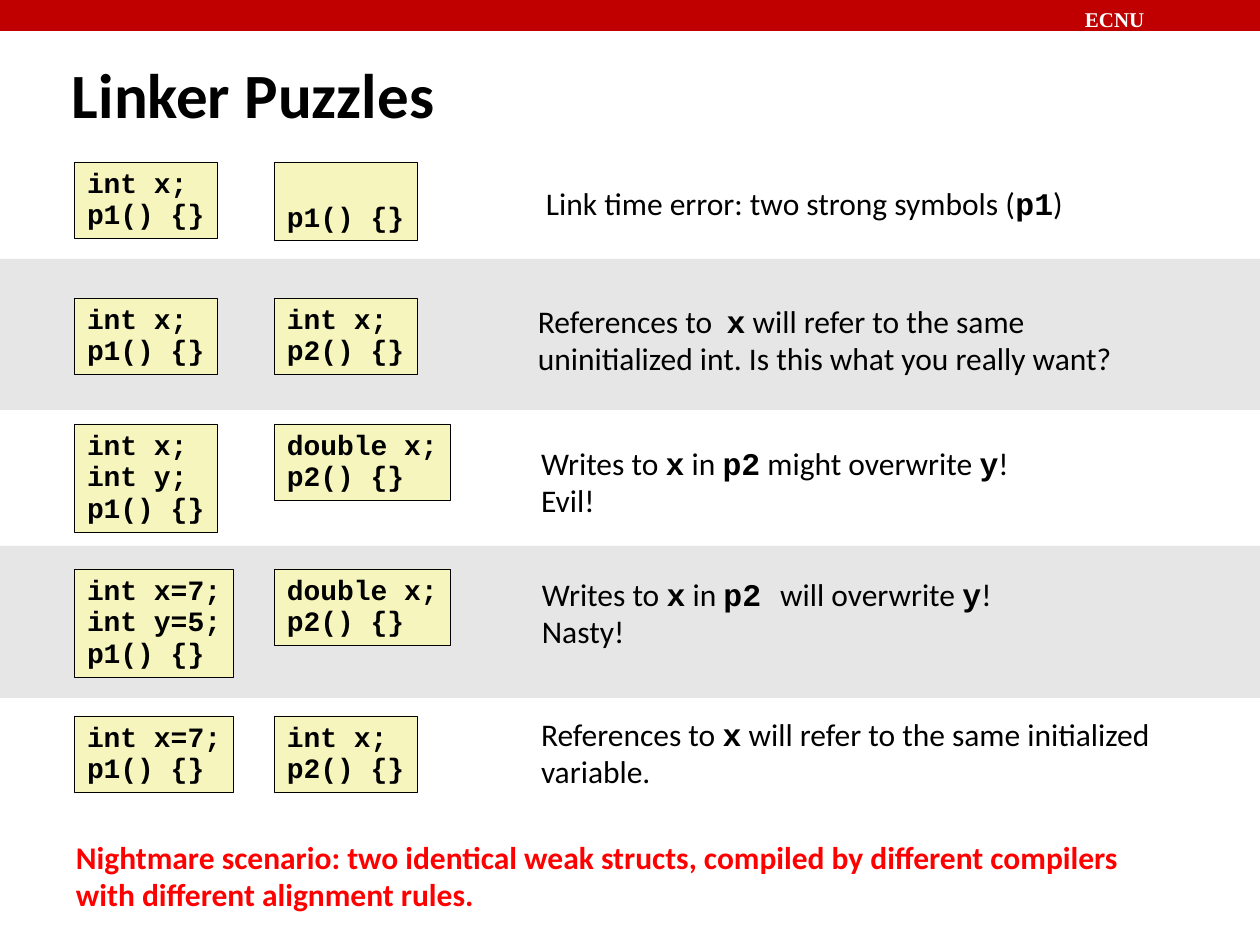
from dataclasses import dataclass

from pptx import Presentation
from pptx.dml.color import RGBColor
from pptx.enum.shapes import MSO_SHAPE
from pptx.enum.text import MSO_ANCHOR as Anchor
from pptx.util import Emu, Pt

EMU_PER_PX = 914400 / 126
SLIDE_WIDTH, SLIDE_HEIGHT = 1260, 945
BANNER_HEIGHT = 31
CODE_LEFTS = (74, 274)


@dataclass(frozen=True)
class Theme:
    """Colours, fonts and type sizes of the slide."""

    banner: str = "C00000"
    band: str = "E6E6E6"
    code_fill: str = "F6F5BD"
    ink: str = "000000"
    alert: str = "FF0000"
    white: str = "FFFFFF"
    body_font: str = "Calibri"
    code_font: str = "Courier New"
    banner_font: str = "Times New Roman"
    title_size: int = 36
    body_size: int = 18
    code_size: int = 16
    banner_size: int = 12


THEME = Theme()

BANDS = ((259, 151), (546, 152))

PUZZLES = (
    (162, ("int x;", "p1() {}"), ("p1() {}",),
     (533, 180, 544), ("Link time error: two strong symbols (`p1`)",)),
    (298, ("int x;", "p1() {}"), ("int x;", "p2() {}"),
     (525, 298, 602), ("References to  `x` will refer to the same",
                       "uninitialized int. Is this what you really want?")),
    (424, ("int x;", "int y;", "p1() {}"), ("double x;", "p2() {}"),
     (528, 440, 495), ("Writes to `x` in `p2` might overwrite `y`!", "Evil!")),
    (569, ("int x=7;", "int y=5;", "p1() {}"), ("double x;", "p2() {}"),
     (529, 571, 476), ("Writes to `x` in `p2 `will overwrite `y`!", "Nasty!")),
    (716, ("int x=7;", "p1() {}"), ("int x;", "p2() {}"),
     (528, 711, 639), ("References to `x` will refer to the same initialized",
                       "variable.")),
)


def px(length):
    """Turn a length in px into EMU."""
    return Emu(round(length * EMU_PER_PX))


def style(font, name, size, color, bold=False):
    """Set the face, size, colour and weight of a font."""
    font.name = name
    font.size = Pt(size)
    font.color.rgb = RGBColor.from_string(color)
    font.bold = bold


def set_frame(frame, insets=(13, 6), wrap=False, anchor=Anchor.TOP):
    """Set the insets, wrapping and anchor of a text frame."""
    frame.margin_left = frame.margin_right = px(insets[0])
    frame.margin_top = frame.margin_bottom = px(insets[1])
    frame.word_wrap = wrap
    frame.vertical_anchor = anchor


def add_block(slide, box, fill, line=None):
    """Add a filled rectangle, outlined if a line colour is given."""
    shape = slide.shapes.add_shape(MSO_SHAPE.RECTANGLE, *map(px, box))
    shape.shadow.inherit = False
    shape.fill.solid()
    shape.fill.fore_color.rgb = RGBColor.from_string(fill)
    if line:
        shape.line.color.rgb = RGBColor.from_string(line)
        shape.line.width = Pt(0.25)
    else:
        shape.line.fill.background()
    return shape


def add_label(slide, box, text, font, insets=(13, 6), anchor=Anchor.TOP):
    """Add a one-style line of text."""
    frame = slide.shapes.add_textbox(*map(px, box)).text_frame
    set_frame(frame, insets, True, anchor)
    frame.text = text
    style(frame.paragraphs[0].runs[0].font, *font)


def add_code(slide, left, top, lines, height):
    """Add a code box as wide as its longest line."""
    width = round(25 + 16.8 * max(map(len, lines)))
    shape = add_block(slide, (left, top, width, height), THEME.code_fill, THEME.ink)
    frame = shape.text_frame
    set_frame(frame, anchor=Anchor.BOTTOM if len(lines) == 1 else Anchor.TOP)
    frame.text = "\n".join(lines)
    for paragraph in frame.paragraphs:
        paragraph.alignment = 1
        paragraph.line_spacing = 0.94
        style(paragraph.runs[0].font, THEME.code_font, THEME.code_size, THEME.ink, True)


def add_remark(slide, left, top, width, lines, color=THEME.ink, bold=False):
    """Add body text whose backquoted parts are set as code."""
    box = (left, top, width, 13 + 37 * len(lines))
    frame = slide.shapes.add_textbox(*map(px, box)).text_frame
    set_frame(frame)
    frame.text = "\n" * (len(lines) - 1)
    for paragraph, line in zip(frame.paragraphs, lines):
        paragraph.line_spacing = 0.98
        for index, part in enumerate(line.split("`")):
            is_code = index % 2 == 1
            run = paragraph.add_run()
            run.text = part
            name = THEME.code_font if is_code else THEME.body_font
            style(run.font, name, THEME.body_size, color, bold or is_code)


def add_puzzle(slide, top, first, second, place, remark):
    """Add the two code boxes of a puzzle and its answer."""
    for left, lines in zip(CODE_LEFTS, (first, second)):
        height = 78 if len(lines) == 1 else 12 + 32 * len(lines)
        add_code(slide, left, top, lines, height)
    add_remark(slide, *place, remark)


def main():
    """Build and save the slide."""
    presentation = Presentation()
    presentation.slide_width = px(SLIDE_WIDTH)
    presentation.slide_height = px(SLIDE_HEIGHT)
    slide = presentation.slides.add_slide(presentation.slide_layouts[6])

    add_block(slide, (0, 0, SLIDE_WIDTH, BANNER_HEIGHT), THEME.banner)
    add_label(slide, (1080, 0, 180, BANNER_HEIGHT), "ECNU",
              (THEME.banner_font, THEME.banner_size, THEME.white, True), (5, 7))
    for top, height in BANDS:
        add_block(slide, (0, top, SLIDE_WIDTH, height), THEME.band)
    add_label(slide, (59, 39, 1201, 108), "Linker Puzzles",
              (THEME.body_font, THEME.title_size, THEME.ink, True), anchor=Anchor.MIDDLE)
    for puzzle in PUZZLES:
        add_puzzle(slide, *puzzle)
    add_remark(slide, 63, 834, 1072,
               ("Nightmare scenario: two identical weak structs, compiled by different compilers",
                "with different alignment rules."), THEME.alert, True)

    presentation.save("out.pptx")


if __name__ == "__main__":
    main()
